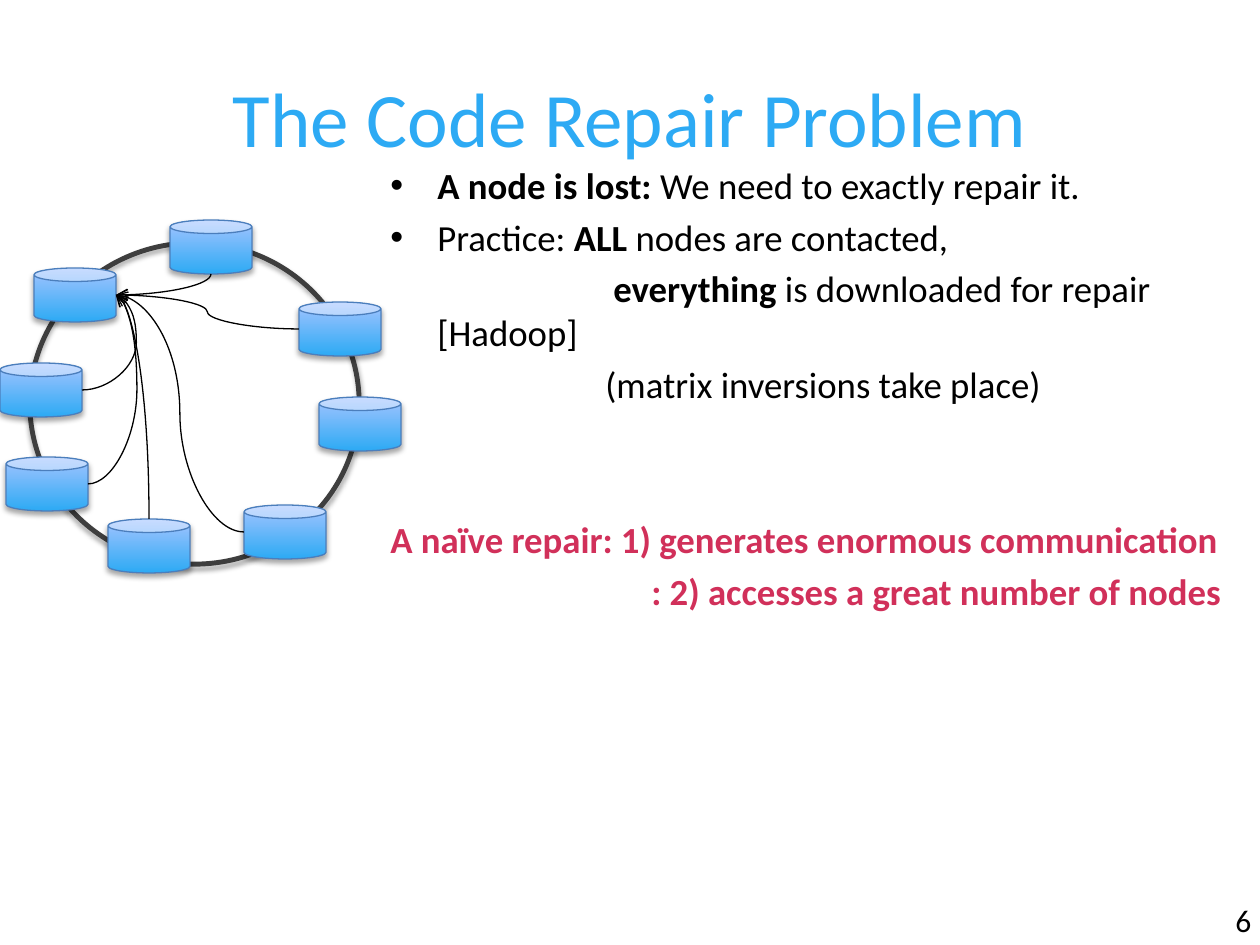
from dataclasses import dataclass

from lxml import etree
from pptx import Presentation
from pptx import util as u
from pptx.dml.color import RGBColor
from pptx.enum import shapes, text
from pptx.oxml.ns import qn

PX = 914400 // 126


@dataclass(frozen=True)
class Theme:
    font: str = "Calibri"
    title: str = "2DAAF4"
    ink: str = "000000"
    warning: str = "D1305A"
    ring: str = "3E3E3E"
    node_bottom: str = "2DAAF4"
    node_top: str = "A4C4FF"
    node_line: str = "4B7EBC"
    title_size: int = 44
    body_size: int = 21
    number_size: int = 18
    line_width: float = 0.75


THEME = Theme()

TITLE = ("The Code Repair Problem", (63, 38, 1134, 157))
PAGE_NUMBER = ("6", (1223, 895, 68, 50))
BODY_BOX = (378, 157, 882, 525)
HANGING = 47
PARAGRAPH_GAP = 4.2
SECTION_GAP = 63.5

BODY = [
    dict(runs=[("A node is lost: ", True), ("We need to exactly repair it.", False)],
         bullet=True, before=0),
    dict(runs=[("Practice: ", False), ("ALL", True), (" nodes are contacted,", False)],
         bullet=True),
    dict(runs=[("everything", True), (" is downloaded for repair [Hadoop]", False)], indent=176),
    dict(runs=[("(matrix inversions take place)", False)], indent=168),
    dict(runs=[("A naïve repair: 1) generates enormous communication", True)],
         indent=-HANGING, color=THEME.warning, before=SECTION_GAP),
    dict(runs=[(": 2) accesses a great number of nodes", True)],
         indent=214, color=THEME.warning),
]

RING = (28, 241, 333, 325)
NODE_SIZE = (82, 54)
NODES = {
    "west": (0, 363),
    "lost": (34, 268),
    "southwest": (6, 457),
    "south": (108, 519),
    "southeast": (244, 505),
    "east": (319, 397),
    "northeast": (299, 302),
    "north": (170, 220),
}
SIDES = {"left": (0, 0.5), "right": (1, 0.5), "top": (0.5, 0), "bottom": (0.5, 1)}
DOWNLOADS = [
    ("southeast", "left", 0.5),
    ("northeast", "left", 0.5),
    ("north", "bottom", None),
    ("south", "top", None),
    ("west", "right", 1.6),
    ("southwest", "right", 1.75),
]


def px(*lengths):
    return [round(length * PX) for length in lengths]


def rgb(color):
    return RGBColor.from_string(color)


def add_text(frame, runs, size=THEME.body_size, color=THEME.ink, align=text.PP_ALIGN.LEFT,
             bullet=False, indent=None, before=PARAGRAPH_GAP, first=False):
    paragraph = frame.paragraphs[0] if first else frame.add_paragraph()
    properties = paragraph._p.get_or_add_pPr()
    if bullet:
        indent = -HANGING
        etree.SubElement(properties, qn("a:buFont"), typeface="Arial")
        etree.SubElement(properties, qn("a:buChar"), char="•")
    if indent is not None:
        margin, offset = px(HANGING, indent)
        properties.set("marL", str(margin))
        properties.set("indent", str(offset))
    paragraph.alignment = align
    paragraph.space_before = u.Pt(before)
    for words, bold in runs:
        run = paragraph.add_run()
        run.text = words
        run.font.name = THEME.font
        run.font.size = u.Pt(size)
        run.font.bold = bold
        run.font.color.rgb = rgb(color)


def add_box(slide, box, anchor=text.MSO_ANCHOR.MIDDLE):
    frame = slide.shapes.add_textbox(*px(*box)).text_frame
    frame.word_wrap = True
    frame.vertical_anchor = anchor
    return frame


def add_shadowed_shape(slide, kind, box, line_color):
    shape = slide.shapes.add_shape(kind, *px(*box))
    shape.line.color.rgb = rgb(line_color)
    shape.line.width = u.Pt(THEME.line_width)
    effects = etree.SubElement(shape._element.spPr, qn("a:effectLst"))
    shadow = etree.SubElement(effects, qn("a:outerShdw"), blurRad=str(u.Pt(3.1)),
                              dist=str(u.Pt(1.8)), dir="5400000", rotWithShape="0")
    color = etree.SubElement(shadow, qn("a:srgbClr"), val=THEME.ink)
    etree.SubElement(color, qn("a:alpha"), val="35000")
    return shape


def add_ring(slide):
    ring = add_shadowed_shape(slide, shapes.MSO_SHAPE.DONUT, RING, THEME.ring)
    ring.adjustments[0] = 0.011
    ring.fill.solid()
    ring.fill.fore_color.rgb = rgb(THEME.ring)


def add_node(slide, corner):
    node = add_shadowed_shape(slide, shapes.MSO_SHAPE.CAN, corner + NODE_SIZE, THEME.node_line)
    node.fill.gradient()
    node.fill.gradient_angle = 90
    for stop, color in zip(node.fill.gradient_stops, (THEME.node_bottom, THEME.node_top)):
        stop.color.rgb = rgb(color)


def side_point(name, side):
    return [corner + size * share
            for corner, size, share in zip(NODES[name], NODE_SIZE, SIDES[side])]


def add_download(slide, source, side, bend):
    x1, y1 = side_point(source, side)
    x2, y2 = side_point("lost", "right")
    rising = y2 < y1
    if bend is None:
        center_x, center_y = (x1 + x2) / 2, (y1 + y2) / 2
        half_width, half_height = abs(y2 - y1) / 2, abs(x2 - x1) / 2
        drop = -half_height if rising else half_height
        x1, y1 = center_x - half_width, center_y - drop
        x2, y2 = center_x + half_width, center_y + drop
    connector = slide.shapes.add_connector(shapes.MSO_CONNECTOR.CURVE, *px(x1, y1, x2, y2))
    connector.line.color.rgb = rgb(THEME.ink)
    connector.line.width = u.Pt(THEME.line_width)
    etree.SubElement(connector.line._get_or_add_ln(), qn("a:tailEnd"), type="arrow")
    properties = connector._element.spPr
    etree.SubElement(properties, qn("a:effectLst"))
    geometry = properties.find(qn("a:prstGeom"))
    if bend is None:
        geometry.set("prst", "curvedConnector2")
        properties.find(qn("a:xfrm")).set("rot", "16200000" if rising else "5400000")
    else:
        etree.SubElement(geometry.find(qn("a:avLst")), qn("a:gd"),
                         name="adj1", fmla=f"val {round(bend * 100000)}")


def main():
    presentation = Presentation()
    presentation.slide_width, presentation.slide_height = px(1260, 945)
    slide = presentation.slides.add_slide(presentation.slide_layouts[6])

    words, box = TITLE
    add_text(add_box(slide, box), [(words, False)], size=THEME.title_size, color=THEME.title,
             align=text.PP_ALIGN.CENTER, before=0, first=True)
    words, box = PAGE_NUMBER
    add_text(add_box(slide, box), [(words, False)], size=THEME.number_size, before=0, first=True)
    body = add_box(slide, BODY_BOX, anchor=text.MSO_ANCHOR.TOP)
    for index, item in enumerate(BODY):
        add_text(body, first=index == 0, **item)

    add_ring(slide)
    for corner in NODES.values():
        add_node(slide, corner)
    for source, side, bend in DOWNLOADS:
        add_download(slide, source, side, bend)

    presentation.save("out.pptx")


if __name__ == "__main__":
    main()
